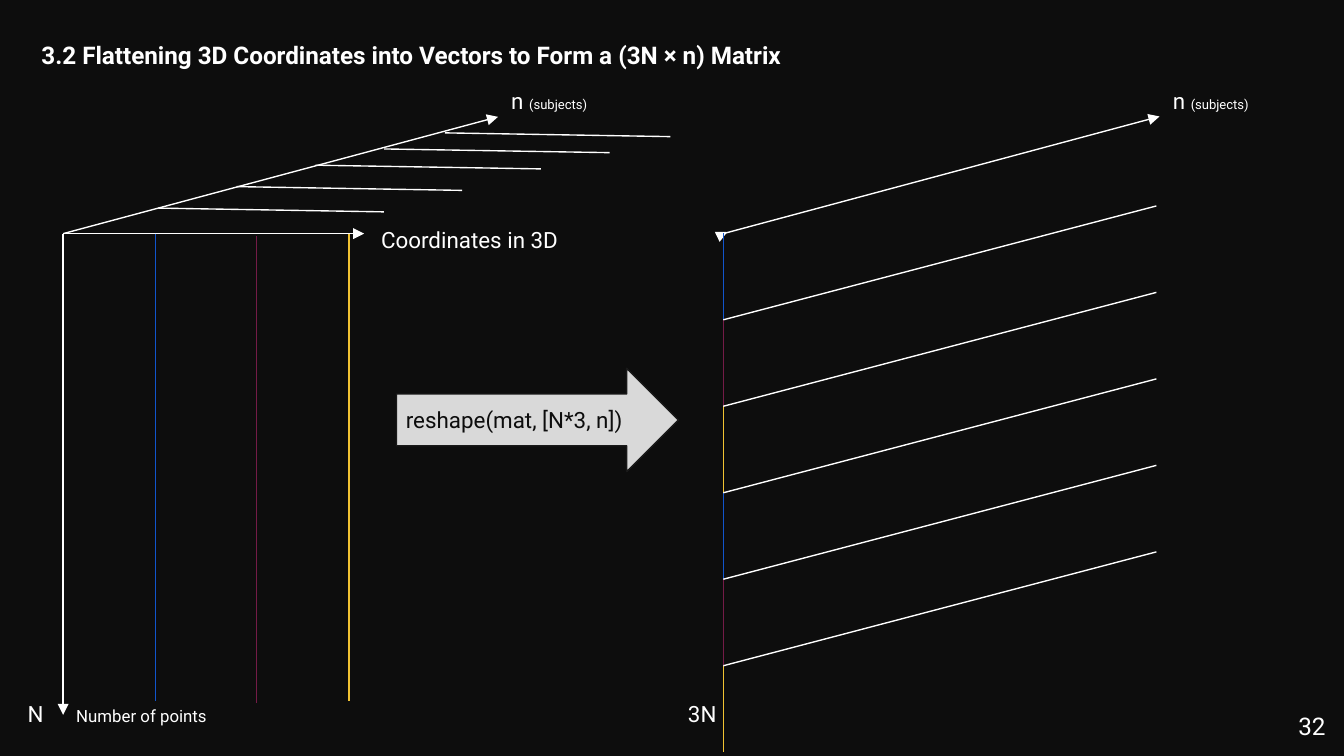
from lxml import etree
from pptx import Presentation
from pptx.dml.color import RGBColor
from pptx.enum.shapes import MSO_CONNECTOR as CONN, MSO_SHAPE as SHAPE
from pptx.enum.text import MSO_AUTO_SIZE as AUTO, PP_ALIGN as ALIGN
from pptx.oxml.ns import qn
from pptx.util import Pt

WHITE, DARK, GREY, EDGE = "FFFFFF", "0D0D0D", "D9D9D9", "191919"
COORD_COLORS = ["1155CC", "741B47", "F1C232"]
SUBJECT_AXIS = (233, -62.6)


def rgb(code):
    return RGBColor.from_string(code)


def add_text(slide, x, y, w, h, text, size=12, color=WHITE, bold=False,
             align=None, small=None, small_size=9, tab=None, indent=None,
             spacing=None):
    """Add a text box; small is a second run in small_size, after a tab if set."""
    tf = slide.shapes.add_textbox(Pt(x), Pt(y), Pt(w), Pt(h)).text_frame
    tf.word_wrap = True
    tf.auto_size = AUTO.NONE
    tf.margin_left = tf.margin_right = tf.margin_top = tf.margin_bottom = Pt(7.2)
    p = tf.paragraphs[0]
    if align is not None:
        p.alignment = align
    if spacing:
        p.line_spacing = spacing
    pPr = p._p.get_or_add_pPr()
    if indent:
        left, first = indent
        pPr.set("marL", str(Pt(left)))
        pPr.set("indent", str(Pt(first)))
    if tab:
        tabs = etree.SubElement(pPr, qn("a:tabLst"))
        etree.SubElement(tabs, qn("a:tab"), pos=str(Pt(tab)), algn="l")
    runs = [(text, size)]
    if small:
        runs.append((small, small_size))
    for content, pts in runs:
        r = p.add_run()
        r.text = content
        r.font.name = "Roboto"
        r.font.size = Pt(pts)
        r.font.bold = bold
        r.font.color.rgb = rgb(color)


def add_line(slide, x, y, dx, dy, color=WHITE, arrow=False):
    c = slide.shapes.add_connector(CONN.STRAIGHT, Pt(x), Pt(y), Pt(x + dx), Pt(y + dy))
    c.line.color.rgb = rgb(color)
    c.line.width = Pt(0.75)
    if arrow:
        etree.SubElement(c.line._get_or_add_ln(), qn("a:tailEnd"), type="triangle")
    etree.SubElement(c._element.spPr, qn("a:effectLst"))


def add_subject_axis(slide, x, y):
    dx, dy = SUBJECT_AXIS
    add_line(slide, x, y, dx, dy, arrow=True)
    add_text(slide, x + dx, y - 85.5, 234, 29, "n ", small="(subjects)", small_size=7)


def add_coordinate_cube(slide, x, y, w, h):
    """Draw the N x 3 x n axes from the corner x, y."""
    add_line(slide, x, y, 0, h, arrow=True)
    add_line(slide, x, y, w, 0, arrow=True)
    add_subject_axis(slide, x, y)
    columns = [(49.5, 0), (103.5, 1), (153.2, 0)]
    for (dx, dy), color in zip(columns, COORD_COLORS):
        add_line(slide, x + dx, y + dy, 0, h - 7.5, color)
    for dx, dy in [(51, -13.7), (93, -25.2), (135.2, -36.7), (172, -45.4), (204.5, -54)]:
        add_line(slide, x + dx, y + dy, 120.8, 2)
    add_text(slide, x + w + 2, y - 11.5, 255, 29, "Coordinates in 3D")
    add_text(slide, x - 26, y + h - 15, 255, 29, "N\t", small="Number of points", tab=26)


def add_flat_matrix(slide, x, y, h):
    """Draw the 3N x n matrix: stacked coordinate columns with subject rows."""
    add_line(slide, x + 0.7, y, 1.4, -0.7, arrow=True)
    add_subject_axis(slide, x + 0.7, y)
    colors = COORD_COLORS * 2
    step = h / len(colors)
    for i, color in enumerate(colors):
        add_line(slide, x, y + i * step, 0, step, color)
        if i:
            add_line(slide, x, y + i * step, 232, -61)
    add_text(slide, x - 26, y + 243, 255, 29, "3N")


def add_reshape_arrow(slide, x, y, w, h):
    sp = slide.shapes.add_shape(SHAPE.RIGHT_ARROW, Pt(x), Pt(y), Pt(w), Pt(h))
    sp.shadow.inherit = False
    sp.fill.solid()
    sp.fill.fore_color.rgb = rgb(GREY)
    sp.line.color.rgb = rgb(EDGE)
    sp.line.width = Pt(0.75)
    add_text(slide, x - 2, y + 13, w - 13, 29, "reshape(mat, [N*3, n])", color=DARK)


def main():
    prs = Presentation()
    prs.slide_width, prs.slide_height = Pt(720), Pt(405)
    s = prs.slides.add_slide(prs.slide_layouts[6])
    s.background.fill.solid()
    s.background.fill.fore_color.rgb = rgb(DARK)
    add_text(s, 4.3, 12.2, 591, 32.4,
             "3.2 Flattening 3D Coordinates into Vectors to Form a (3N × n) Matrix",
             size=13, bold=True, indent=(36, -25.2), spacing=1.15)
    add_coordinate_cube(s, 33.8, 125.2, 161.3, 257.8)
    add_flat_matrix(s, 387.5, 125, 278)
    add_reshape_arrow(s, 212.4, 197.3, 151, 55.4)
    add_text(s, 674, 373.7, 43.2, 31, "32", size=13, align=ALIGN.RIGHT)
    prs.save("out.pptx")


if __name__ == "__main__":
    main()
